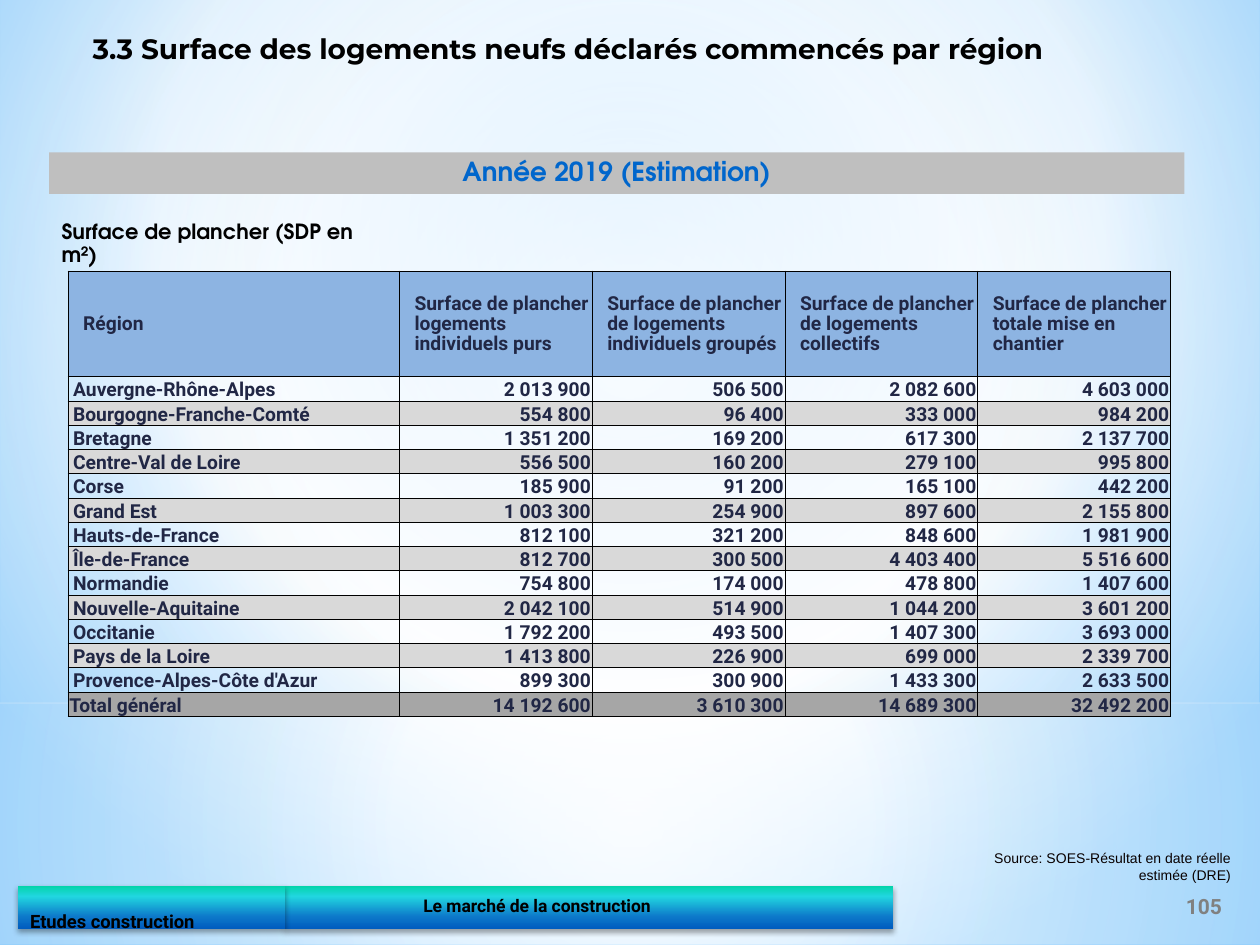
"""Build the slide on new housing floor area by French region."""
from dataclasses import dataclass
from typing import Any, NamedTuple, Optional

from pptx import Presentation
from pptx.dml.color import RGBColor as RGB
from pptx.enum.shapes import MSO_SHAPE as SHAPE
from pptx.enum.text import MSO_ANCHOR as ANCHOR, PP_ALIGN as ALIGN
from pptx.oxml import parse_xml
from pptx.oxml.ns import nsdecls, qn
from pptx.util import Inches, Pt


class Stop(NamedTuple):
    pos: int
    color: str
    alpha: int = 100


class Gradient(NamedTuple):
    stops: tuple[Stop, ...]
    focus: Optional[tuple[int, int, int, int]] = None


class Style(NamedTuple):
    font: str
    size: float
    color: str
    bold: bool = True
    spacing: Optional[float] = 0.9


@dataclass(frozen=True)
class Theme:
    title: Style = Style("Montserrat", 16, "000000")
    year: Style = Style("TeX Gyre Adventor", 15, "0066CC")
    unit: Style = Style("TeX Gyre Adventor", 12, "000000")
    table: Style = Style("Roboto", 11, "212745")
    chapter: Style = Style("Roboto", 10, "000000")
    section: Style = Style("Roboto", 10.5, "000000")
    number: Style = Style("Roboto", 12, "808080", spacing=None)
    source: Style = Style("Arial", 8, "080000", False, None)
    year_fill: str = "BFBFBF"
    header_fill: str = "8DB4E2"
    band_fill: str = "D9D9D9"
    total_fill: str = "A6A6A6"
    border: str = "000000"
    page: Gradient = Gradient(
        (Stop(0, "9ED5FF"), Stop(60, "FFFFFF"), Stop(100, "5BB9FF")), (20, 10, 20, 60))
    lower: Gradient = Gradient(
        (Stop(0, "FFFFFF", 91), Stop(37, "FFFFFF", 76), Stop(100, "B4DCFA", 79)), (50,) * 4)
    upper: Gradient = Gradient(
        (Stop(0, "FFFFFF", 89), Stop(48, "FFFFFF", 62), Stop(100, "B4DCFA", 79)), (50,) * 4)
    footer: Gradient = Gradient(
        (Stop(0, "03D4A8"), Stop(25, "21D6E0"), Stop(72, "0D79CA"), Stop(100, "005CBF")))


class Box(NamedTuple):
    left: float
    top: float
    width: float
    height: float


class Label(NamedTuple):
    text: str
    box: Box
    style: Style
    align: Any = ALIGN.LEFT
    anchor: Any = ANCHOR.TOP
    wrap: bool = True


class Bar(NamedTuple):
    text: str
    box: Box
    style: Style
    margin_left: float
    margin_top: float
    anchor: Any


class Region(NamedTuple):
    name: str
    single: int
    grouped: int
    collective: int
    total: int


THEME = Theme()
HEADERS = (
    "Région",
    "Surface de plancher logements individuels purs",
    "Surface de plancher de logements individuels groupés",
    "Surface de plancher de logements collectifs",
    "Surface de plancher totale mise en chantier",
)
REGIONS = (
    Region("Auvergne-Rhône-Alpes", 2013900, 506500, 2082600, 4603000),
    Region("Bourgogne-Franche-Comté", 554800, 96400, 333000, 984200),
    Region("Bretagne", 1351200, 169200, 617300, 2137700),
    Region("Centre-Val de Loire", 556500, 160200, 279100, 995800),
    Region("Corse", 185900, 91200, 165100, 442200),
    Region("Grand Est", 1003300, 254900, 897600, 2155800),
    Region("Hauts-de-France", 812100, 321200, 848600, 1981900),
    Region("Île-de-France", 812700, 300500, 4403400, 5516600),
    Region("Normandie", 754800, 174000, 478800, 1407600),
    Region("Nouvelle-Aquitaine", 2042100, 514900, 1044200, 3601200),
    Region("Occitanie", 1792200, 493500, 1407300, 3693000),
    Region("Pays de la Loire", 1413800, 226900, 699000, 2339700),
    Region("Provence-Alpes-Côte d'Azur", 899300, 300900, 1433300, 2633500),
    Region("Total général", 14192600, 3610300, 14689300, 32492200),
)
LABELS = (
    Label("105", Box(9.26, 6.99, 0.59, 0.4), THEME.number, ALIGN.CENTER, ANCHOR.MIDDLE),
    Label("Surface de plancher (SDP en m²)", Box(0.39, 1.71, 2.84, 0.28), THEME.unit),
    Label("Source: SOES-Résultat en date réelle estimée (DRE)", Box(7.66, 6.72, 2.21, 0.31),
          THEME.source, ALIGN.RIGHT, ANCHOR.MIDDLE, False),
    Label("3.3 Surface des logements neufs déclarés commencés par région",
          Box(0.26, 0.23, 8.5, 0.44), THEME.title, ALIGN.CENTER),
)
BARS = (
    Bar("Le marché de la construction", Box(2.26, 7.03, 4.83, 0.34), THEME.chapter,
        1.1, 0.05, ANCHOR.MIDDLE),
    Bar("Etudes construction", Box(0.14, 7.03, 2.12, 0.34), THEME.section,
        0.1, 0.21, ANCHOR.TOP),
)


def write(tf: Any, text: str, style: Style, align: Any = ALIGN.LEFT) -> None:
    """Write one styled run in the first paragraph."""
    p = tf.paragraphs[0]
    p.alignment = align
    if style.spacing:
        p.line_spacing = style.spacing
    r = p.add_run()
    r.text = text
    r.font.name, r.font.size, r.font.bold = style.font, Pt(style.size), style.bold
    r.font.color.rgb = RGB.from_string(style.color)


def apply_gradient(owner: Any, gradient: Gradient) -> None:
    """Replace the solid fill of an element with a gradient."""
    stops = "".join(
        f'<a:gs pos="{s.pos * 1000}"><a:srgbClr val="{s.color}">'
        f'<a:alpha val="{s.alpha * 1000}"/></a:srgbClr></a:gs>' for s in gradient.stops)
    shade = '<a:lin ang="5400000" scaled="0"/>'
    if gradient.focus:
        sides = " ".join(f'{k}="{v * 1000}"' for k, v in zip("ltrb", gradient.focus))
        shade = f'<a:path path="circle"><a:fillToRect {sides}/></a:path>'
    owner.replace(owner.find(qn("a:solidFill")), parse_xml(
        f'<a:gradFill {nsdecls("a")} rotWithShape="1"><a:gsLst>{stops}</a:gsLst>{shade}</a:gradFill>'))


def add_panel(s: Any, box: Box, fill: str | Gradient, kind: Any = SHAPE.RECTANGLE) -> Any:
    """Add a borderless filled shape."""
    sp = s.shapes.add_shape(kind, *map(Inches, box))
    sp.shadow.inherit = False
    sp.line.fill.background()
    sp.fill.solid()
    if isinstance(fill, Gradient):
        apply_gradient(sp.fill._xPr, fill)
    else:
        sp.fill.fore_color.rgb = RGB.from_string(fill)
    return sp


def add_bar(s: Any, bar: Bar) -> None:
    """Add a footer bar with a soft shadow."""
    sp = add_panel(s, bar.box, THEME.footer, SHAPE.FRAME)
    sp.adjustments[0] = 0.5
    sp.element.spPr.find(qn("a:effectLst")).append(parse_xml(
        f'<a:outerShdw {nsdecls("a")} blurRad="{Pt(3.1)}" dist="{Pt(1.8)}" dir="5400000" '
        'rotWithShape="0"><a:srgbClr val="000000"><a:alpha val="35000"/></a:srgbClr></a:outerShdw>'))
    tf = sp.text_frame
    tf.vertical_anchor = bar.anchor
    tf.margin_left, tf.margin_top = Inches(bar.margin_left), Inches(bar.margin_top)
    write(tf, bar.text, bar.style)


def add_label(s: Any, label: Label) -> None:
    """Add a text box."""
    tf = s.shapes.add_textbox(*map(Inches, label.box)).text_frame
    tf.word_wrap, tf.vertical_anchor = label.wrap, label.anchor
    write(tf, label.text, label.style, label.align)


def fill_cell(cell: Any, text: str, fill: Optional[str], left: float, anchor: Any, align: Any) -> None:
    """Write, border and fill one table cell."""
    cell.margin_left, cell.margin_right = Inches(left), Inches(0.01)
    cell.margin_top, cell.margin_bottom = Inches(0.01), 0
    cell.vertical_anchor = anchor
    for side in "LRTB":
        cell._tc.get_or_add_tcPr().append(parse_xml(
            f'<a:ln{side} {nsdecls("a")} w="{Pt(0.5)}"><a:solidFill>'
            f'<a:srgbClr val="{THEME.border}"/></a:solidFill></a:ln{side}>'))
    if fill:
        cell.fill.solid()
        cell.fill.fore_color.rgb = RGB.from_string(fill)
    else:
        cell.fill.background()
    write(cell.text_frame, text, THEME.table, align)


def add_region_table(s: Any, box: Box) -> None:
    """Add the table of floor areas by region."""
    table = s.shapes.add_table(len(REGIONS) + 1, len(HEADERS), *map(Inches, box)).table
    table.first_row = table.horz_banding = False
    for i, col in enumerate(table.columns):
        col.width = Inches(1.53 if i else 2.63)
    for i, row in enumerate(table.rows):
        row.height = Inches((box.height - 0.84) / len(REGIONS) if i else 0.84)
    for j, header in enumerate(HEADERS):
        fill_cell(table.cell(0, j), header, THEME.header_fill, 0.12, ANCHOR.MIDDLE, ALIGN.LEFT)
    for i, region in enumerate(REGIONS, 1):
        last = i == len(REGIONS)
        fill = THEME.total_fill if last else None if i % 2 else THEME.band_fill
        fill_cell(table.cell(i, 0), region.name, fill, 0.01 if last else 0.04,
                  ANCHOR.BOTTOM, ALIGN.LEFT)
        for j, value in enumerate(region[1:], 1):
            fill_cell(table.cell(i, j), f"{value:,}".replace(",", " "), fill, 0.01,
                      ANCHOR.BOTTOM, ALIGN.RIGHT)


def main() -> None:
    """Build and save the slide."""
    prs = Presentation()
    prs.slide_width, prs.slide_height = Inches(10), Inches(7.5)
    s = prs.slides.add_slide(prs.slide_layouts[6])
    s.background.fill.solid()
    apply_gradient(s.element.find(f'.//{qn("p:bgPr")}'), THEME.page)
    add_panel(s, Box(0, 5.58, 10, 1.92), THEME.lower)
    add_panel(s, Box(0, 0, 10, 5.58), THEME.upper)
    for bar in BARS:
        add_bar(s, bar)
    for label in LABELS:
        add_label(s, label)
    year = add_panel(s, Box(0.39, 1.21, 9.01, 0.33), THEME.year_fill)
    year.text_frame.vertical_anchor = ANCHOR.TOP
    write(year.text_frame, "Année 2019 (Estimation)", THEME.year, ALIGN.CENTER)
    add_region_table(s, Box(0.54, 2.15, 8.75, 3.54))
    prs.save("out.pptx")


if __name__ == "__main__":
    main()
